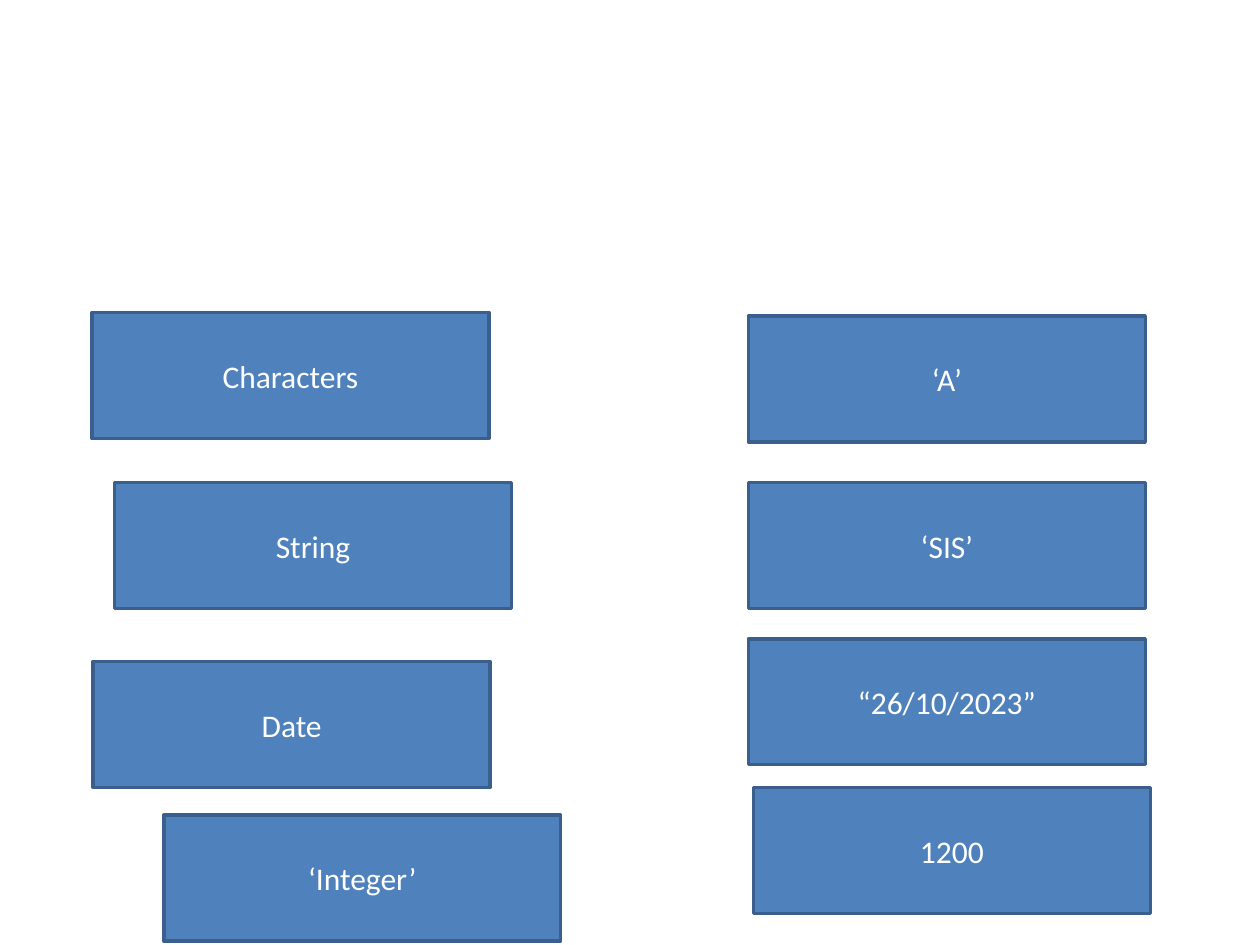
from pptx import Presentation
from pptx.dml.color import RGBColor
from pptx.enum import shapes, text
from pptx.util import Inches, Pt

CARD_WIDTH, CARD_HEIGHT = 3.15, 1

# Each card: label, left, top (inches)
TYPES = [
    ("Characters", 0.73, 2.48),
    ("String", 0.91, 3.83),
    ("Date", 0.74, 5.25),
    ("‘Integer’", 1.3, 6.47),
]
VALUES = [
    ("‘A’", 5.94, 2.51),
    ("‘SIS’", 5.94, 3.83),
    ("“26/10/2023”", 5.94, 5.07),
    ("1200", 5.98, 6.25),
]


def color(hex_value):
    return RGBColor.from_string(hex_value)


def add_card(slide, label, left, top, width, height):
    sp = slide.shapes.add_shape(
        shapes.MSO_SHAPE.RECTANGLE,
        Inches(left), Inches(top), Inches(width), Inches(height))
    sp.shadow.inherit = False
    sp.fill.solid()
    sp.fill.fore_color.rgb = color("4F81BD")
    sp.line.color.rgb = color("3A5F8C")
    sp.line.width = Pt(2)

    tf = sp.text_frame
    tf.word_wrap = True
    tf.vertical_anchor = text.MSO_ANCHOR.MIDDLE
    p = tf.paragraphs[0]
    p.text = label
    p.alignment = text.PP_ALIGN.CENTER
    p.font.name = "Calibri"
    p.font.size = Pt(18)
    p.font.color.rgb = color("FFFFFF")


def add_column(slide, cards):
    for label, left, top in cards:
        add_card(slide, label, left, top, CARD_WIDTH, CARD_HEIGHT)


def main():
    prs = Presentation()
    prs.slide_width, prs.slide_height = Inches(10), Inches(7.5)
    s = prs.slides.add_slide(prs.slide_layouts[6])  # blank layout

    # Data types on the left, example values on the right
    add_column(s, TYPES)
    add_column(s, VALUES)

    prs.save("out.pptx")


if __name__ == "__main__":
    main()
